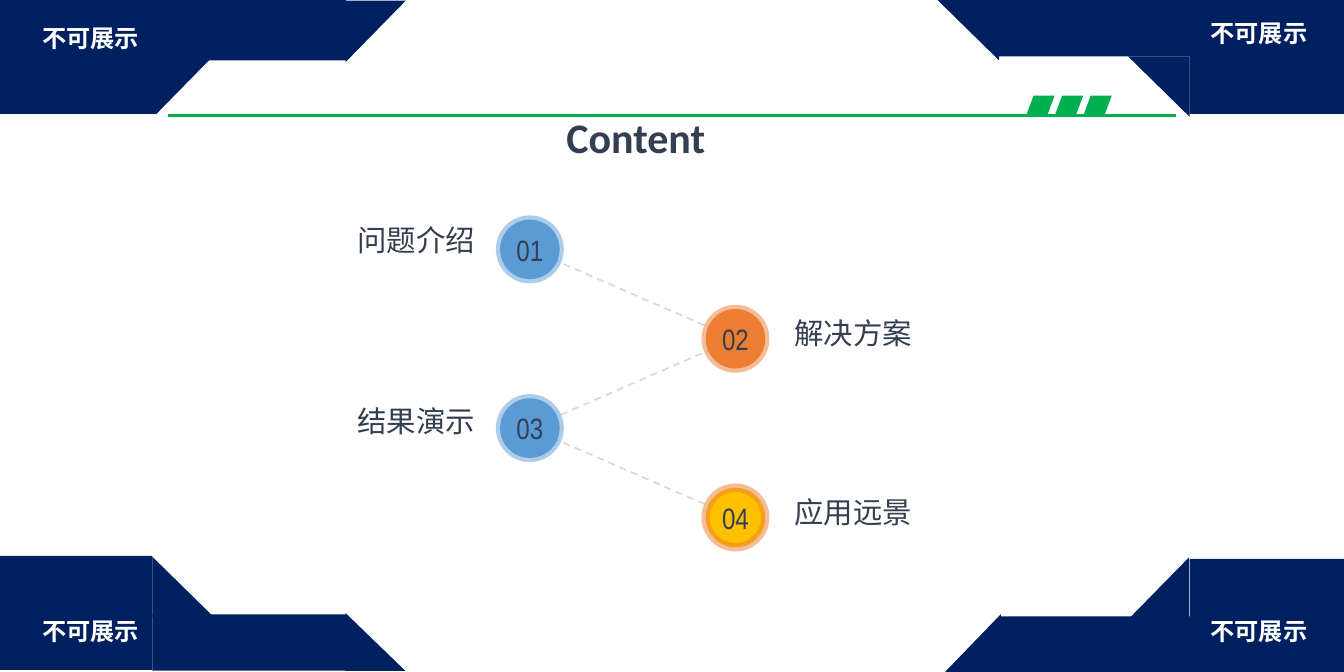
"""Build a contents slide with four numbered topics and framed corners."""
from lxml import etree
from pptx import Presentation
from pptx.dml.color import RGBColor
from pptx.enum.dml import MSO_LINE
from pptx.enum.shapes import MSO_CONNECTOR, MSO_SHAPE
from pptx.enum.text import MSO_ANCHOR, MSO_AUTO_SIZE, PP_ALIGN
from pptx.oxml.ns import qn
from pptx.util import Cm, Pt

RECT, TRIANGLE = MSO_SHAPE.RECTANGLE, MSO_SHAPE.RIGHT_TRIANGLE
OVAL, SLANT = MSO_SHAPE.OVAL, MSO_SHAPE.PARALLELOGRAM
STRAIGHT, DASH = MSO_CONNECTOR.STRAIGHT, MSO_LINE.DASH
TOP, MIDDLE, NO_FIT = MSO_ANCHOR.TOP, MSO_ANCHOR.MIDDLE, MSO_AUTO_SIZE.NONE
LEFT, CENTER, RIGHT = PP_ALIGN.LEFT, PP_ALIGN.CENTER, PP_ALIGN.RIGHT
NAVY, GREEN, SLATE, WHITE = "002060", "00B050", "333F50", "FFFFFF"
BLUE, ORANGE, GOLD, GREY = "5B9BD5", "ED7D31", "FFC000", "D9D9D9"
CJK = "Noto Sans CJK SC"


def paint(target, color):
    """Give a fill, line or font a solid colour."""
    if hasattr(target, "solid"):
        target.solid()
        target = target.fore_color
    else:
        target = target.color
    target.rgb = RGBColor.from_string(color)


def write(sp, text, size, font, color, align, bold=False):
    """Put one formatted line of text into a shape."""
    tf = sp.text_frame
    tf.text = text
    p = tf.paragraphs[0]
    p.alignment = align
    r = p.runs[0]
    r.font.size, r.font.name, r.font.bold = Pt(size), font, bold
    paint(r.font, color)
    etree.SubElement(r.font._element, qn("a:ea"), typeface=font)


prs = Presentation()
prs.slide_width, prs.slide_height = Cm(33.86), Cm(16.92)
s = prs.slides.add_slide(prs.slide_layouts[5])

corner_parts = [
    (RECT, 0, 0, 3.94, 2.87, 0),
    (RECT, 3.84, 0, 4.88, 1.52, 0),
    (TRIANGLE, 3.91, 1.35, 1.55, 1.52, 90),
    (TRIANGLE, 8.69, 0.03, 1.55, 1.52, 90),
    (RECT, 0, 14, 3.84, 2.87, 0),
    (RECT, 3.84, 15.47, 4.88, 1.42, 0),
    (TRIANGLE, 3.84, 14.02, 1.55, 1.52, 0),
    (TRIANGLE, 8.71, 15.44, 1.5, 1.45, 0),
    (RECT, 29.97, 14.07, 3.89, 2.85, 0),
    (RECT, 25.2, 15.52, 4.88, 1.4, 0),
    (TRIANGLE, 28.42, 14.05, 1.55, 1.52, 270),
    (TRIANGLE, 23.77, 15.49, 1.47, 1.42, 270),
    (RECT, 25.1, 0, 4.88, 1.42, 0),
    (RECT, 29.97, 0, 3.89, 2.87, 0),
    (TRIANGLE, 28.42, 1.42, 1.55, 1.52, 180),
    (TRIANGLE, 23.62, 0, 1.55, 1.52, 180),
]
header_marks = [(SLANT, 25.86 + 0.72 * i, 2.41, 0.71, 0.48, 0) for i in range(3)]
for kind, x, y, w, h, angle in corner_parts + header_marks:
    sp = s.shapes.add_shape(kind, Cm(x), Cm(y), Cm(w), Cm(h))
    sp.rotation = angle
    sp.shadow.inherit = False
    paint(sp.fill, GREEN if kind == SLANT else NAVY)
    sp.line.fill.background()
    if kind == SLANT:
        sp.adjustments[0] = 0.374

for x, y in [(0.81, 0.46), (0.81, 15.39), (30.25, 0.33), (30.25, 15.39)]:
    sp = s.shapes.add_textbox(Cm(x), Cm(y), Cm(3.6), Cm(0.99))
    sp.text_frame.word_wrap = True
    write(sp, "不可展示", 17.3, CJK, WHITE, LEFT, True)

title = s.shapes.title
title.left, title.top, title.width, title.height = Cm(14), Cm(2.69), Cm(4.04), Cm(1.55)
tf = title.text_frame
tf.word_wrap, tf.auto_size, tf.vertical_anchor = False, NO_FIT, TOP
write(title, "Content", 30, "Calibri", SLATE, CENTER, True)

topics = [
    ("问题介绍", 5.46, BLUE, BLUE),
    ("解决方案", 7.8, ORANGE, ORANGE),
    ("结果演示", 10.03, BLUE, BLUE),
    ("应用远景", 12.32, GOLD, ORANGE),
]
centers = [((13.35, 18.53)[i % 2], 6.28 + 2.25 * i) for i in range(len(topics))]

lines = [((4.24, 2.9), (29.64, 2.9), GREEN, 2.25, None)]
lines += [(a, b, GREY, 1.25, DASH) for a, b in zip(centers, centers[1:])]
for (x1, y1), (x2, y2), color, width, dash in lines:
    line = s.shapes.add_connector(STRAIGHT, Cm(x1), Cm(y1), Cm(x2), Cm(y2))
    paint(line.line.fill, color)
    line.line.width = Pt(width)
    line.line.dash_style = dash
    etree.SubElement(line._element.spPr, qn("a:effectLst"))

for i, ((x, y), (label, label_top, fill, ring)) in enumerate(zip(centers, topics)):
    sp = s.shapes.add_shape(OVAL, Cm(x - 0.75), Cm(y - 0.75), Cm(1.5), Cm(1.5))
    sp.shadow.inherit = False
    paint(sp.fill, fill)
    paint(sp.line.fill, ring)
    sp.line.width = Pt(6)
    ring_color = sp.line._ln.find(".//" + qn("a:srgbClr"))
    etree.SubElement(ring_color, qn("a:alpha"), val="50000")
    tf = sp.text_frame
    tf.word_wrap, tf.vertical_anchor = False, MIDDLE
    tf.margin_left = tf.margin_right = tf.margin_top = tf.margin_bottom = 0
    write(sp, f"{i + 1:02}", 21, "Arial Narrow", SLATE, CENTER)

    sp = s.shapes.add_textbox(Cm((6.58, 19.76)[i % 2]), Cm(label_top), Cm(5.64), Cm(1.14))
    sp.text_frame.word_wrap = True
    write(sp, label, 21, CJK, SLATE, (RIGHT, LEFT)[i % 2])

prs.save("out.pptx")
